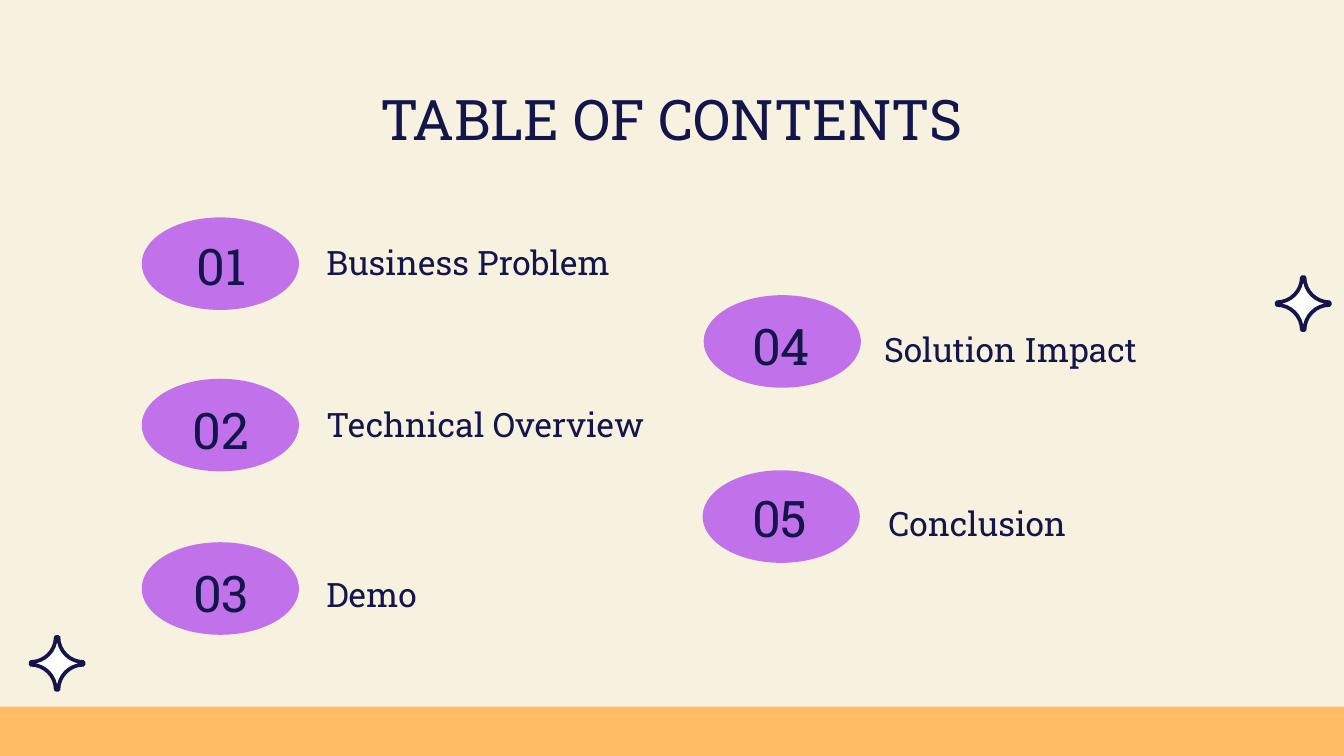
import dataclasses
import math

import pptx
import pptx.dml.color
import pptx.enum.shapes
import pptx.enum.text
import pptx.util

Cm = pptx.util.Cm
Pt = pptx.util.Pt
ShapeType = pptx.enum.shapes.MSO_SHAPE
Align = pptx.enum.text.PP_ALIGN
Anchor = pptx.enum.text.MSO_ANCHOR


@dataclasses.dataclass(frozen=True)
class Theme:
    font: str = "Roboto Slab"
    background: str = "F7F2E0"
    ink: str = "14164B"
    badge: str = "C172EA"
    band: str = "FFBC64"
    star: str = "FFFFFF"
    title_size: int = 30
    number_size: int = 27
    label_size: int = 18
    star_line: float = 2


class SlideBuilder:
    def __init__(self, slide, theme):
        self.slide = slide
        self.theme = theme

    def color(self, value):
        return pptx.dml.color.RGBColor.from_string(value)

    def background(self):
        fill = self.slide.background.fill
        fill.solid()
        fill.fore_color.rgb = self.color(self.theme.background)

    def paint(self, shape, fill):
        shape.shadow.inherit = False
        shape.fill.solid()
        shape.fill.fore_color.rgb = self.color(fill)

    def block(self, kind, left, top, width, height, fill):
        shape = self.slide.shapes.add_shape(
            kind, Cm(left), Cm(top), Cm(width), Cm(height))
        self.paint(shape, fill)
        shape.line.fill.background()

    def text(self, text, left, top, width, height, size,
             align=Align.LEFT, anchor=Anchor.TOP):
        box = self.slide.shapes.add_textbox(Cm(left), Cm(top), Cm(width), Cm(height))
        frame = box.text_frame
        frame.word_wrap = True
        frame.vertical_anchor = anchor
        frame.margin_left = frame.margin_right = Cm(0.25)
        frame.margin_top = frame.margin_bottom = Cm(0.25)
        paragraph = frame.paragraphs[0]
        paragraph.text = text
        paragraph.alignment = align
        paragraph.font.name = self.theme.font
        paragraph.font.size = Pt(size)
        paragraph.font.color.rgb = self.color(self.theme.ink)

    def star(self, center_x, center_y, radius=0.5, steps=8):
        points = []
        for corner in range(4):
            diagonal = math.pi / 4 + corner * math.pi / 2
            corner_x = center_x + radius * math.sqrt(2) * math.cos(diagonal)
            corner_y = center_y + radius * math.sqrt(2) * math.sin(diagonal)
            for step in range(steps + 1):
                angle = diagonal + math.pi * 1.25 - step * math.pi / 2 / steps
                points.append((Cm(corner_x + 0.95 * radius * math.cos(angle)),
                               Cm(corner_y + 0.95 * radius * math.sin(angle))))
        builder = self.slide.shapes.build_freeform(*points[0])
        builder.add_line_segments(points[1:], close=True)
        shape = builder.convert_to_shape()
        self.paint(shape, self.theme.star)
        shape.line.color.rgb = self.color(self.theme.ink)
        shape.line.width = Pt(self.theme.star_line)

    def entry(self, number, label, badge, number_at, label_at):
        self.block(ShapeType.OVAL, *badge, 2.97, 1.75, self.theme.badge)
        self.text(f"{number:02}", *number_at, 2.92, 1.37, self.theme.number_size,
                  Align.CENTER, Anchor.MIDDLE)
        self.text(label, *label_at, 7.65, 1.09, self.theme.label_size)


ENTRIES = [
    ("Business Problem", (2.68, 4.11), (2.72, 4.34), (5.92, 4.32)),
    ("Technical Overview", (2.68, 7.16), (2.72, 7.44), (5.92, 7.39)),
    ("Demo", (2.68, 10.25), (2.72, 10.52), (5.92, 10.59)),
    ("Solution Impact", (13.3, 5.58), (13.3, 5.84), (16.46, 5.97)),
    ("Conclusion", (13.28, 8.89), (13.28, 9.09), (16.54, 9.25)),
]
STARS = [(24.63, 5.74), (1.08, 12.54)]


def main():
    presentation = pptx.Presentation()
    presentation.slide_width = Cm(25.4)
    presentation.slide_height = Cm(14.29)
    slide = presentation.slides.add_slide(presentation.slide_layouts[6])
    theme = Theme()
    builder = SlideBuilder(slide, theme)

    builder.background()
    builder.block(ShapeType.RECTANGLE, 0, 13.36, 25.4, 0.93, theme.band)
    builder.text("TABLE OF CONTENTS", 2, 1.35, 21.4, 1.6, theme.title_size, Align.CENTER)
    for number, entry in enumerate(ENTRIES, start=1):
        builder.entry(number, *entry)
    for center in STARS:
        builder.star(*center)

    presentation.save("out.pptx")


if __name__ == "__main__":
    main()
